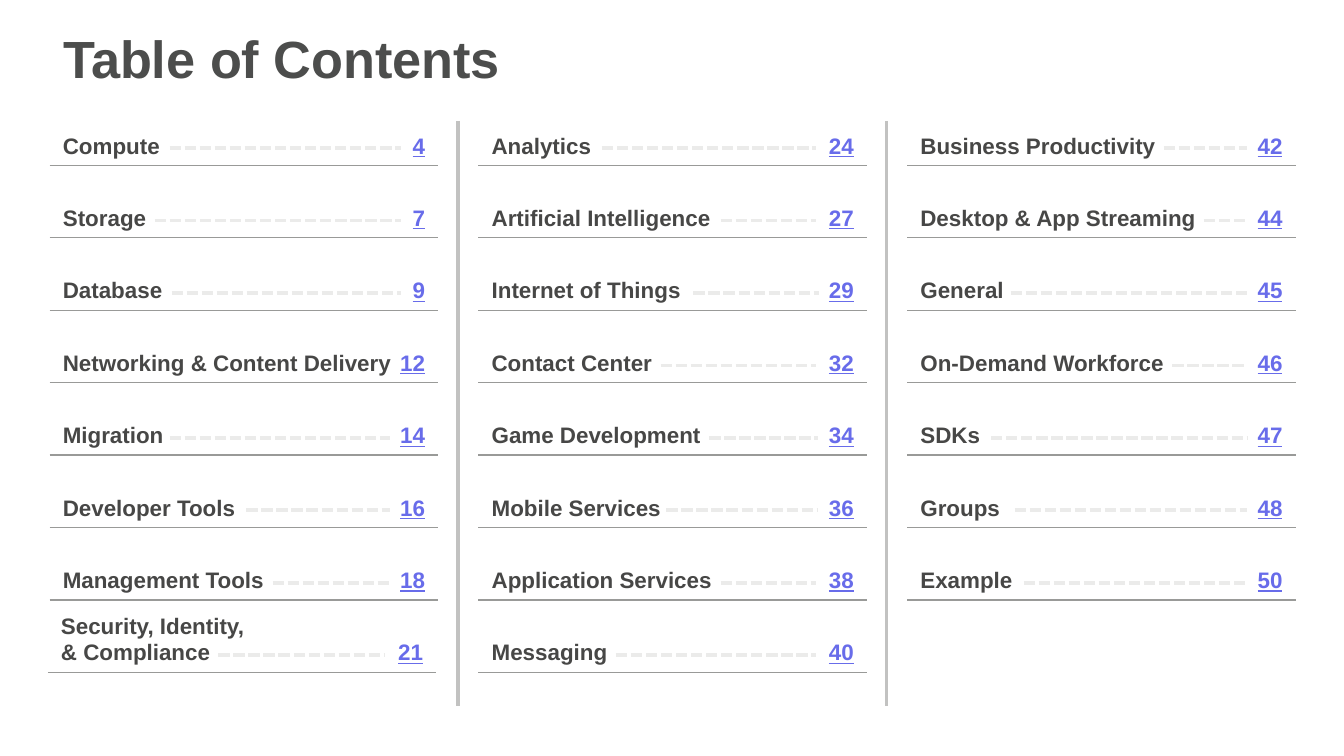
from lxml import etree
from pptx import Presentation
from pptx.dml.color import RGBColor
from pptx.enum.dml import MSO_LINE
from pptx.enum.shapes import MSO_CONNECTOR
from pptx.enum.text import MSO_ANCHOR, MSO_AUTO_SIZE, PP_ALIGN
from pptx.oxml.ns import qn
from pptx.util import Pt

STRAIGHT = MSO_CONNECTOR.STRAIGHT
SQUARE_DOT = MSO_LINE.SQUARE_DOT
MIDDLE = MSO_ANCHOR.MIDDLE
NO_AUTOFIT = MSO_AUTO_SIZE.NONE
LEFT, RIGHT = PP_ALIGN.LEFT, PP_ALIGN.RIGHT

COLUMN_LEFT, COLUMN_STEP, COLUMN_WIDTH = 26.6, 229.7, 208.2
RULE_TOP, ROW_STEP = 88.6, 38.8
ROW_HEIGHT, NUMBER_WIDTH, LEADER_RISE = 21.6, 28, 9.2

# Each entry: label, label width, page, leader start and end (None: no leader)
COLUMNS = [
    [
        ("Compute", 68, 4, 91, 215),
        ("Storage", 65, 7, 83, 215),
        ("Database", 174, 9, 92, 215),
        ("Networking & Content Delivery", 193, 12, None, None),
        ("Migration", 122, 14, 91, 209),
        ("Developer Tools", 122, 16, 132, 209),
        ("Management Tools", 122, 18, 146, 209),
        ("Security, Identity, \v& Compliance", 125, 21, 117, 206),
    ],
    [
        ("Analytics", 133, 24, 322.5, 437),
        ("Artificial Intelligence", 145, 27, 386, 437),
        ("Internet of Things", 121, 29, 371.5, 438.5),
        ("Contact Center", 102, 32, 354, 437),
        ("Game Development", 164, 34, 380, 438),
        ("Mobile Services", 121, 36, 357, 438),
        ("Application Services", 143, 38, 386, 437),
        ("Messaging", 93, 40, 330, 437),
    ],
    [
        ("Business Productivity", 145, 42, 623.5, 668),
        ("Desktop & App Streaming", 169, 44, 645, 667),
        ("General", 65, 45, 541.5, 668),
        ("On-Demand Workforce", 154, 46, 628, 668),
        ("SDKs", 48, 47, 531, 668),
        ("Groups", 58, 48, 543.5, 668),
        ("Example", 66, 50, 548.5, 668),
    ],
]

presentation = Presentation()
presentation.slide_width, presentation.slide_height = Pt(720), Pt(405)
slide = presentation.slides.add_slide(presentation.slide_layouts[5])


def add_line(x1, y1, x2, y2, color, width):
    line = slide.shapes.add_connector(STRAIGHT, Pt(x1), Pt(y1), Pt(x2), Pt(y2))
    line.line.color.rgb = RGBColor.from_string(color)
    line.line.width = Pt(width)
    etree.SubElement(line._element.spPr, qn("a:effectLst"))
    return line


def write_text(shape, text, size, color, alignment=LEFT):
    frame = shape.text_frame
    frame.text = text
    frame.word_wrap = True
    frame.auto_size = NO_AUTOFIT
    paragraph = frame.paragraphs[0]
    paragraph.alignment = alignment
    paragraph.font.name = "Arial"
    paragraph.font.size = Pt(size)
    paragraph.font.bold = True
    paragraph.font.color.rgb = RGBColor.from_string(color)
    return frame


# Title
title = slide.shapes.title
title.left, title.top, title.width, title.height = Pt(26.6), Pt(9.4), Pt(645.8), Pt(43.2)
write_text(title, "Table of Contents", 28, "4C4D4C").vertical_anchor = MIDDLE

for column, entries in enumerate(COLUMNS):
    column_left = COLUMN_LEFT + column * COLUMN_STEP

    # Divider before every column but the first
    if column > 0:
        add_line(column_left - 11, 64.8, column_left - 11, 378, "C2C2C1", 2)

    for row, (label, label_width, page, leader_start, leader_end) in enumerate(entries):
        rule_y = RULE_TOP + row * ROW_STEP
        two_lines = "\v" in label
        left = column_left - 1 if two_lines else column_left
        label_height = 36 if two_lines else ROW_HEIGHT

        # Rule under the entry
        add_line(left, rule_y, left + COLUMN_WIDTH, rule_y, "999A98", 0.75)

        # Label
        label_box = slide.shapes.add_textbox(
            Pt(left), Pt(rule_y - label_height), Pt(label_width), Pt(label_height))
        write_text(label_box, label, 12, "474746")

        # Dotted leader
        if leader_start is not None:
            leader_y = rule_y - LEADER_RISE
            leader = add_line(leader_start, leader_y, leader_end, leader_y, "EBEBEA", 2)
            leader.line.dash_style = SQUARE_DOT

        # Page number
        number_box = slide.shapes.add_textbox(
            Pt(left + COLUMN_WIDTH - NUMBER_WIDTH), Pt(rule_y - ROW_HEIGHT),
            Pt(NUMBER_WIDTH), Pt(ROW_HEIGHT))
        number_frame = write_text(number_box, str(page), 12, "686CEA", RIGHT)
        number_frame.paragraphs[0].font.underline = True

presentation.save("out.pptx")
